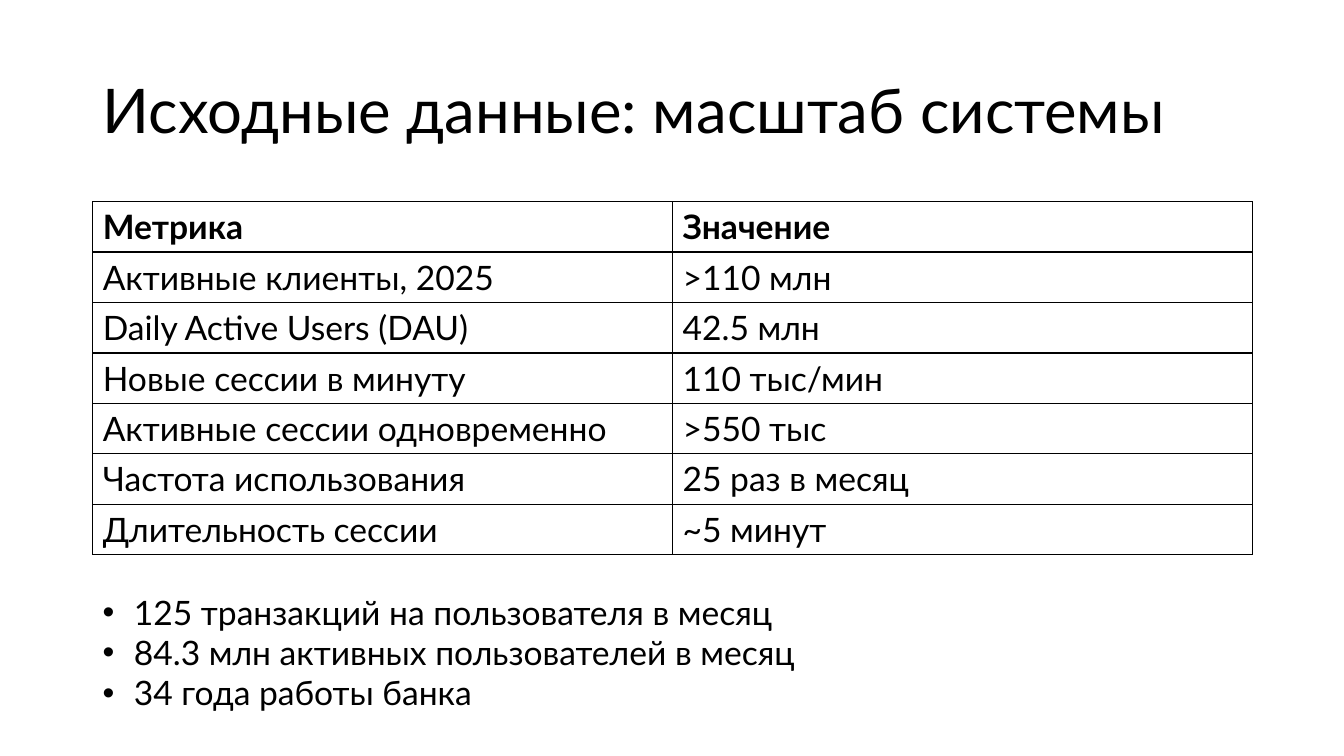
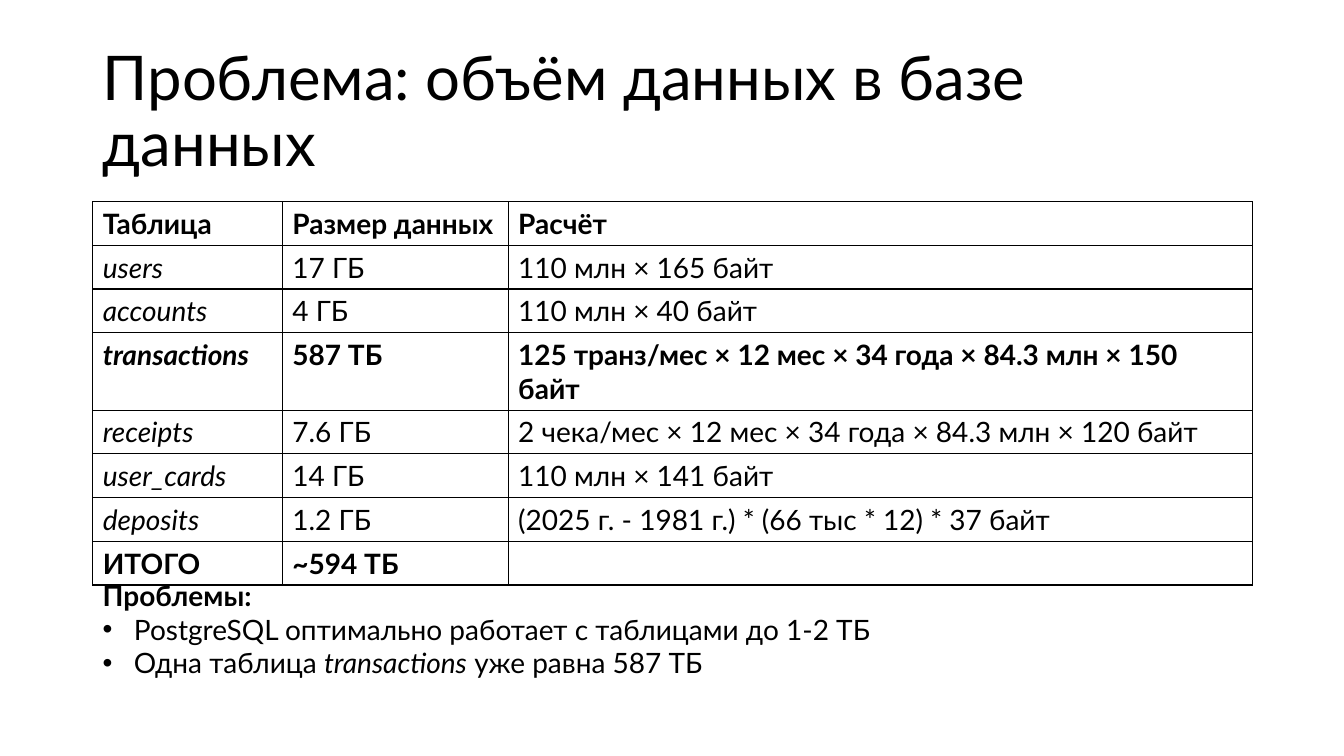
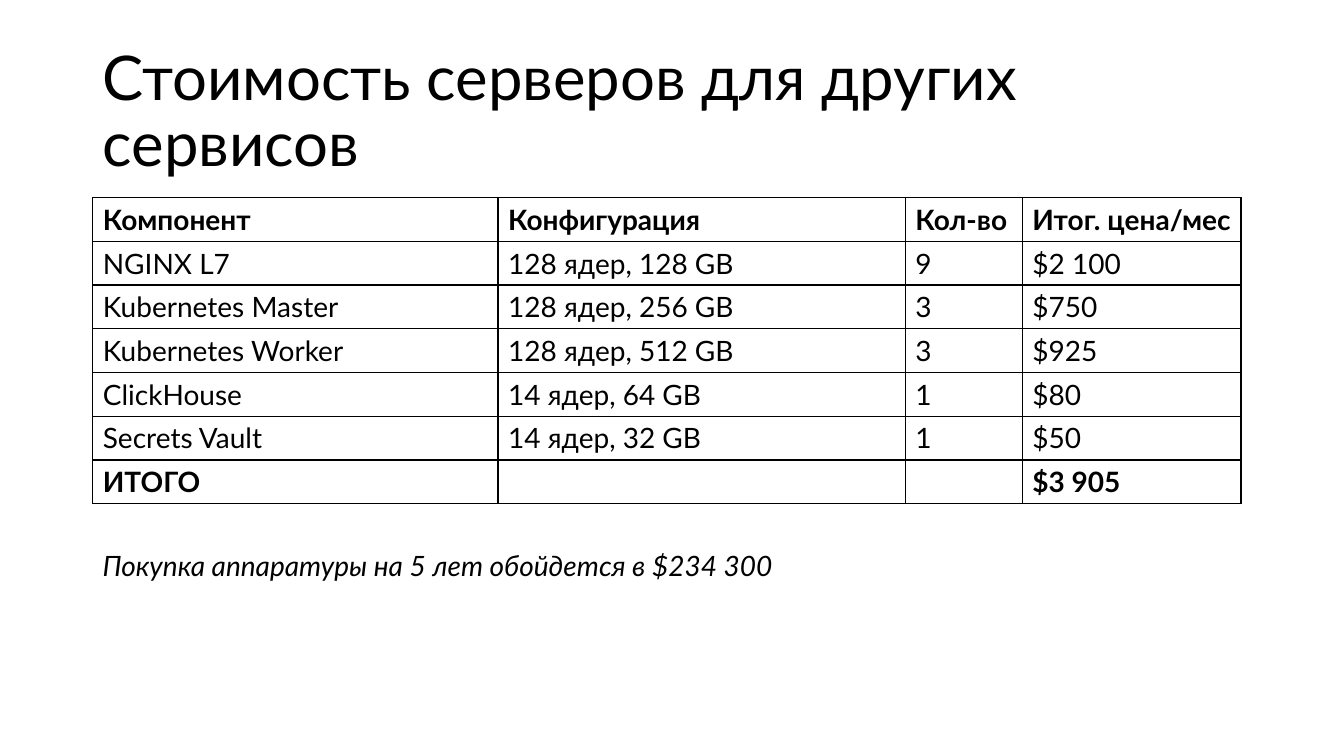
from dataclasses import dataclass
from typing import Optional

import pptx
import pptx.dml.color
import pptx.enum.text
import pptx.oxml.ns
import pptx.util
from lxml import etree

Inches = pptx.util.Inches

# Shared look
FONT = "Lato"
INK = "000000"
TITLE_SIZE = 44
LEFT = 0.92
CONTENT_WIDTH = 11.5
ROW_HEIGHT = 0.41
BULLET_INDENT = 0.31
BORDER_WIDTH = 1


@dataclass(frozen=True)
class Run:
    text: str
    bold: bool = False
    italic: bool = False


@dataclass(frozen=True)
class Line:
    runs: tuple[Run, ...]
    bullet: bool = False


@dataclass(frozen=True)
class Grid:
    top: float
    columns: tuple[float, ...]
    rows: tuple[tuple[str, ...], ...]
    bold_rows: tuple[int, ...] = (0,)
    italic_names: tuple[int, ...] = ()


@dataclass(frozen=True)
class Notes:
    top: float
    width: float
    height: float
    lines: tuple[Line, ...]


@dataclass(frozen=True)
class Page:
    title: str
    size: int
    grid: Grid
    notes: Notes


def color(value: str) -> pptx.dml.color.RGBColor:
    return pptx.dml.color.RGBColor.from_string(value)


def add_element(parent, tag: str, **attributes: str):
    return etree.SubElement(parent, pptx.oxml.ns.qn(tag), attributes)


def write(paragraph, text: str, *, size: int, bold: bool = False,
          italic: bool = False, spacing: Optional[float] = None) -> None:
    """Append one formatted run to a paragraph."""
    if spacing:
        paragraph.line_spacing = spacing
    run = paragraph.add_run()
    run.text = text
    run.font.name = FONT
    run.font.size = pptx.util.Pt(size)
    run.font.bold = bold
    run.font.italic = italic
    run.font.color.rgb = color(INK)


def add_bullet(paragraph) -> None:
    properties = paragraph._p.get_or_add_pPr()
    properties.set("marL", str(Inches(BULLET_INDENT)))
    properties.set("indent", str(-Inches(BULLET_INDENT)))
    add_element(properties, "a:buFont", typeface="Arial")
    add_element(properties, "a:buChar", char="•")


def add_frame(slide, top: float, width: float, height: float):
    box = slide.shapes.add_textbox(
        Inches(LEFT), Inches(top), Inches(width), Inches(height))
    box.text_frame.word_wrap = True
    return box.text_frame


def add_title(slide, title: str) -> None:
    frame = add_frame(slide, 0.4, CONTENT_WIDTH, 1.45)
    frame.vertical_anchor = pptx.enum.text.MSO_ANCHOR.MIDDLE
    write(frame.paragraphs[0], title, size=TITLE_SIZE, spacing=0.9)


def style_cell(cell) -> None:
    properties = cell._tc.get_or_add_tcPr()
    for side in ("L", "R", "T", "B"):
        border = add_element(properties, f"a:ln{side}",
                             w=str(pptx.util.Pt(BORDER_WIDTH)))
        add_element(add_element(border, "a:solidFill"), "a:srgbClr", val=INK)
    cell.fill.background()


def add_grid(slide, grid: Grid, size: int) -> None:
    table = slide.shapes.add_table(
        len(grid.rows), len(grid.columns), Inches(LEFT), Inches(grid.top),
        Inches(sum(grid.columns)), Inches(ROW_HEIGHT * len(grid.rows))).table
    table.first_row = False
    table.horz_banding = False
    for column, width in zip(table.columns, grid.columns):
        column.width = Inches(width)
    for r, values in enumerate(grid.rows):
        table.rows[r].height = Inches(ROW_HEIGHT)
        for c, value in enumerate(values):
            cell = table.cell(r, c)
            style_cell(cell)
            if value:
                write(cell.text_frame.paragraphs[0], value, size=size,
                      bold=r in grid.bold_rows,
                      italic=c == 0 and r in grid.italic_names)


def add_notes(slide, notes: Notes, size: int) -> None:
    frame = add_frame(slide, notes.top, notes.width, notes.height)
    frame.auto_size = pptx.enum.text.MSO_AUTO_SIZE.SHAPE_TO_FIT_TEXT
    for i, line in enumerate(notes.lines):
        paragraph = frame.add_paragraph() if i else frame.paragraphs[0]
        if line.bullet:
            add_bullet(paragraph)
        for run in line.runs:
            write(paragraph, run.text, size=size,
                  bold=run.bold, italic=run.italic)


# Content
PAGES = (
    Page(
        "Исходные данные: масштаб системы", 24,
        Grid(2, (5.75, 5.75), (
            ("Метрика", "Значение"),
            ("Активные клиенты, 2025", ">110 млн"),
            ("Daily Active Users (DAU)", "42.5 млн"),
            ("Новые сессии в минуту", "110 тыс/мин"),
            ("Активные сессии одновременно", ">550 тыс"),
            ("Частота использования", "25 раз в месяц"),
            ("Длительность сессии", "~5 минут"),
        )),
        Notes(5.82, CONTENT_WIDTH, 1.31, (
            Line((Run("125 транзакций на пользователя в месяц"),), bullet=True),
            Line((Run("84.3 млн активных пользователей в месяц"),), bullet=True),
            Line((Run("34 года работы банка"),), bullet=True),
        )),
    ),
    Page(
        "Проблема: объём данных в базе данных", 20,
        Grid(2, (1.88, 2.24, 7.38), (
            ("Таблица", "Размер данных", "Расчёт"),
            ("users", "17 ГБ", "110 млн × 165 байт"),
            ("accounts", "4 ГБ", "110 млн × 40 байт"),
            ("transactions", "587 ТБ",
             "125 транз/мес × 12 мес × 34 года × 84.3 млн × 150 байт"),
            ("receipts", "7.6 ГБ",
             "2 чека/мес × 12 мес × 34 года × 84.3 млн × 120 байт"),
            ("user_cards", "14 ГБ", "110 млн × 141 байт"),
            ("deposits", "1.2 ГБ",
             "(2025 г. - 1981 г.) * (66 тыс * 12) * 37 байт"),
            ("ИТОГО", "~594 ТБ", ""),
        ), bold_rows=(0, 3, 7), italic_names=(1, 2, 3, 4, 5, 6)),
        Notes(5.69, 11.59, 1.11, (
            Line((Run("Проблемы:", bold=True),)),
            Line((Run("PostgreSQL оптимально работает с таблицами до 1-2 ТБ"),),
                 bullet=True),
            Line((Run("Одна таблица "), Run("transactions", italic=True),
                  Run(" уже равна 587 ТБ")), bullet=True),
        )),
    ),
    Page(
        "Стоимость серверов для других сервисов", 20,
        Grid(1.96, (4.02, 4.04, 1.16, 2.17), (
            ("Компонент", "Конфигурация", "Кол-во", "Итог. цена/мес"),
            ("NGINX L7", "128 ядер, 128 GB", "9", "$2 100"),
            ("Kubernetes Master", "128 ядер, 256 GB", "3", "$750"),
            ("Kubernetes Worker", "128 ядер, 512 GB", "3", "$925"),
            ("ClickHouse", "14 ядер, 64 GB", "1", "$80"),
            ("Secrets Vault", "14 ядер, 32 GB", "1", "$50"),
            ("ИТОГО", "", "", "$3 905"),
        ), bold_rows=(0, 6)),
        Notes(5.39, 11.45, 0.44, (
            Line((Run("Покупка аппаратуры на 5 лет обойдется в $234 300",
                      italic=True),)),
        )),
    ),
)


def main() -> None:
    deck = pptx.Presentation()
    deck.slide_width = Inches(13.33)
    deck.slide_height = Inches(7.5)
    blank = deck.slide_layouts[6]
    for page in PAGES:
        slide = deck.slides.add_slide(blank)
        add_title(slide, page.title)
        add_grid(slide, page.grid, page.size)
        add_notes(slide, page.notes, page.size)
    deck.save("out.pptx")


if __name__ == "__main__":
    main()
